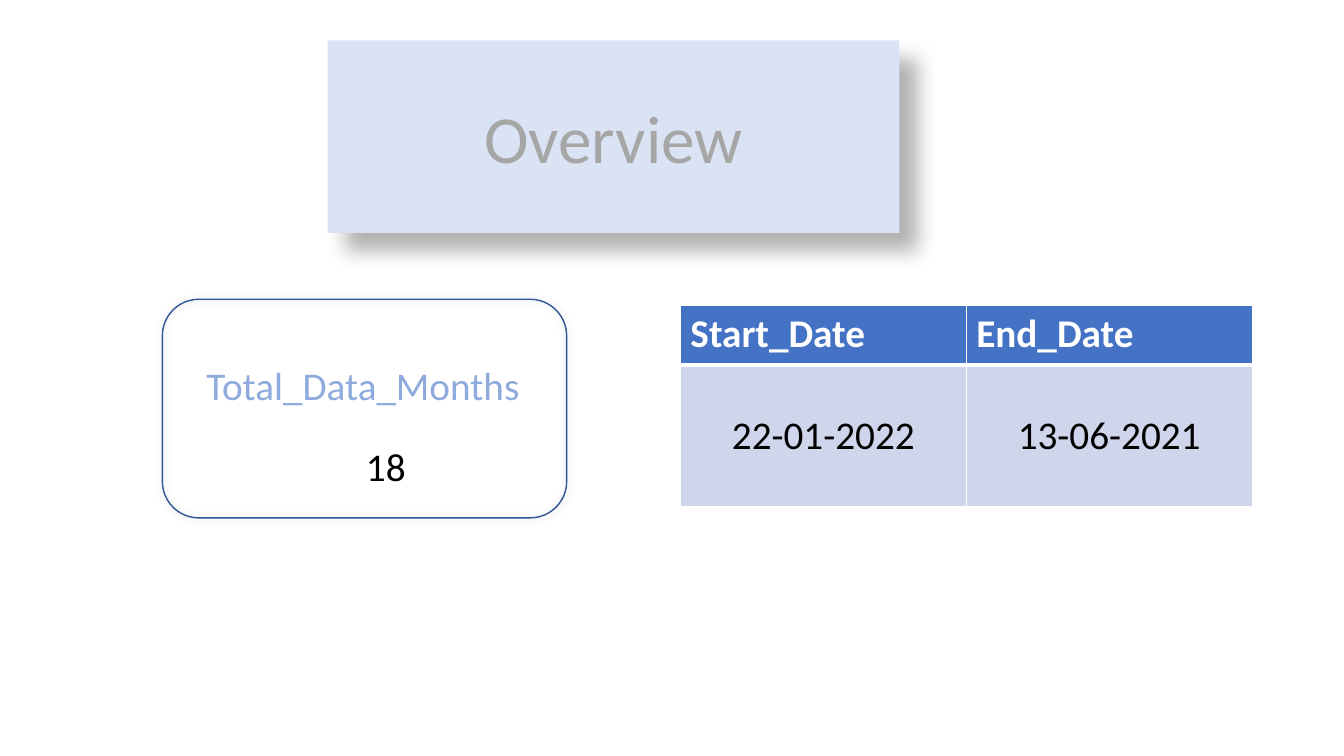
from lxml.etree import SubElement
from pptx import Presentation
from pptx.dml.color import RGBColor
from pptx.enum.shapes import MSO_SHAPE
from pptx.enum.text import MSO_ANCHOR, MSO_AUTO_SIZE, PP_ALIGN
from pptx.oxml import parse_xml
from pptx.oxml.ns import nsdecls, qn
from pptx.util import Inches, Pt


def color(hex_value):
    return RGBColor.from_string(hex_value)


class OverviewSlide:
    FONT = "Calibri"
    BODY_SIZE = 28
    COLUMNS = 24
    ROWS = 24

    def __init__(self, presentation):
        self.column = presentation.slide_width / self.COLUMNS
        self.row = presentation.slide_height / self.ROWS
        self.slide = presentation.slides.add_slide(presentation.slide_layouts[5])

    def box(self, left, top, width, height):
        return (int(left * self.column), int(top * self.row),
                int(width * self.column), int(height * self.row))

    def style(self, paragraph, size, hex_value, bold=False, align=PP_ALIGN.LEFT):
        paragraph.alignment = align
        paragraph.font.name = self.FONT
        paragraph.font.size = Pt(size)
        paragraph.font.bold = bold
        paragraph.font.color.rgb = color(hex_value)

    def shadow(self, shape, opacity, blur, distance, angle):
        shape.shadow.inherit = False
        effects = shape.element.spPr.find(qn("a:effectLst"))
        outer = SubElement(effects, qn("a:outerShdw"), blurRad=str(Pt(blur)),
                           dist=str(Pt(distance)), dir=str(angle * 60000),
                           algn="tl", rotWithShape="0")
        black = SubElement(outer, qn("a:srgbClr"), val="000000")
        SubElement(black, qn("a:alpha"), val=str(opacity * 1000))

    def title(self, text, place, fill, text_color):
        title = self.slide.shapes.title
        title.left, title.top, title.width, title.height = self.box(*place)
        title.element.spPr.append(parse_xml(
            f'<a:prstGeom {nsdecls("a")} prst="round2DiagRect"><a:avLst/></a:prstGeom>'))
        title.fill.solid()
        title.fill.fore_color.rgb = color(fill)
        self.shadow(title, 30, 15, 18, 45)
        frame = title.text_frame
        frame.text = text
        frame.auto_size = MSO_AUTO_SIZE.NONE
        frame.vertical_anchor = MSO_ANCHOR.MIDDLE
        self.style(frame.paragraphs[0], 48, text_color, align=PP_ALIGN.CENTER)

    def outline(self, place, line):
        shape = self.slide.shapes.add_shape(MSO_SHAPE.ROUNDED_RECTANGLE, *self.box(*place))
        shape.fill.background()
        shape.line.color.rgb = color(line)
        shape.line.width = Pt(1)
        self.shadow(shape, 20, 6, 0, 225)

    def table(self, left, top, width, row_heights, column_count):
        place = self.box(left, top, width, sum(row_heights))
        table = self.slide.shapes.add_table(len(row_heights), column_count, *place).table
        table.first_row = table.horz_banding = False
        for row, height in zip(table.rows, row_heights):
            row.height = int(height * self.row)
        return table

    def borders(self, cell, top, bottom):
        properties = cell._tc.get_or_add_tcPr()
        for side, width in (("L", 1), ("R", 1), ("T", top), ("B", bottom)):
            line = SubElement(properties, qn(f"a:ln{side}"), w=str(Pt(width)))
            solid = SubElement(line, qn("a:solidFill"))
            SubElement(solid, qn("a:srgbClr"), val="FFFFFF")

    def cell(self, cell, text, text_color, fill=None, anchor=None, **text_style):
        cell.text = text
        if anchor is not None:
            cell.vertical_anchor = anchor
            cell.margin_left = cell.margin_right = cell.margin_top = Inches(0.01)
            cell.margin_bottom = 0
        if fill:
            cell.fill.solid()
            cell.fill.fore_color.rgb = color(fill)
        else:
            cell.fill.background()
        self.style(cell.text_frame.paragraphs[0], self.BODY_SIZE, text_color, **text_style)


def main():
    presentation = Presentation()
    presentation.slide_width = Inches(13.33)
    presentation.slide_height = Inches(7.5)
    overview = OverviewSlide(presentation)

    months = overview.table(3.67, 9.5, 6.44, (3.55, 2.56), 1)
    overview.cell(months.cell(0, 0), "Total_Data_Months", "8FAADC", anchor=MSO_ANCHOR.BOTTOM)
    overview.cell(months.cell(1, 0), "18", "000000", anchor=MSO_ANCHOR.BOTTOM,
                  align=PP_ALIGN.CENTER)

    dates = overview.table(12.15, 9.7, 10.21, (1.89, 4.48), 2)
    date_values = (("Start_Date", "22-01-2022"), ("End_Date", "13-06-2021"))
    for index, (heading, date) in enumerate(date_values):
        header, value = dates.cell(0, index), dates.cell(1, index)
        overview.borders(header, top=1, bottom=3)
        overview.borders(value, top=3, bottom=1)
        overview.cell(header, heading, "FFFFFF", fill="4472C4", bold=True)
        overview.cell(value, date, "000000", fill="CFD5EA", anchor=MSO_ANCHOR.MIDDLE,
                      align=PP_ALIGN.CENTER)

    overview.outline((2.9, 9.5, 7.22, 6.94), "2F5597")
    overview.title("Overview", (5.85, 1.28, 10.21, 6.11), "DAE3F3", "A6A6A6")
    presentation.save("out.pptx")


if __name__ == "__main__":
    main()
